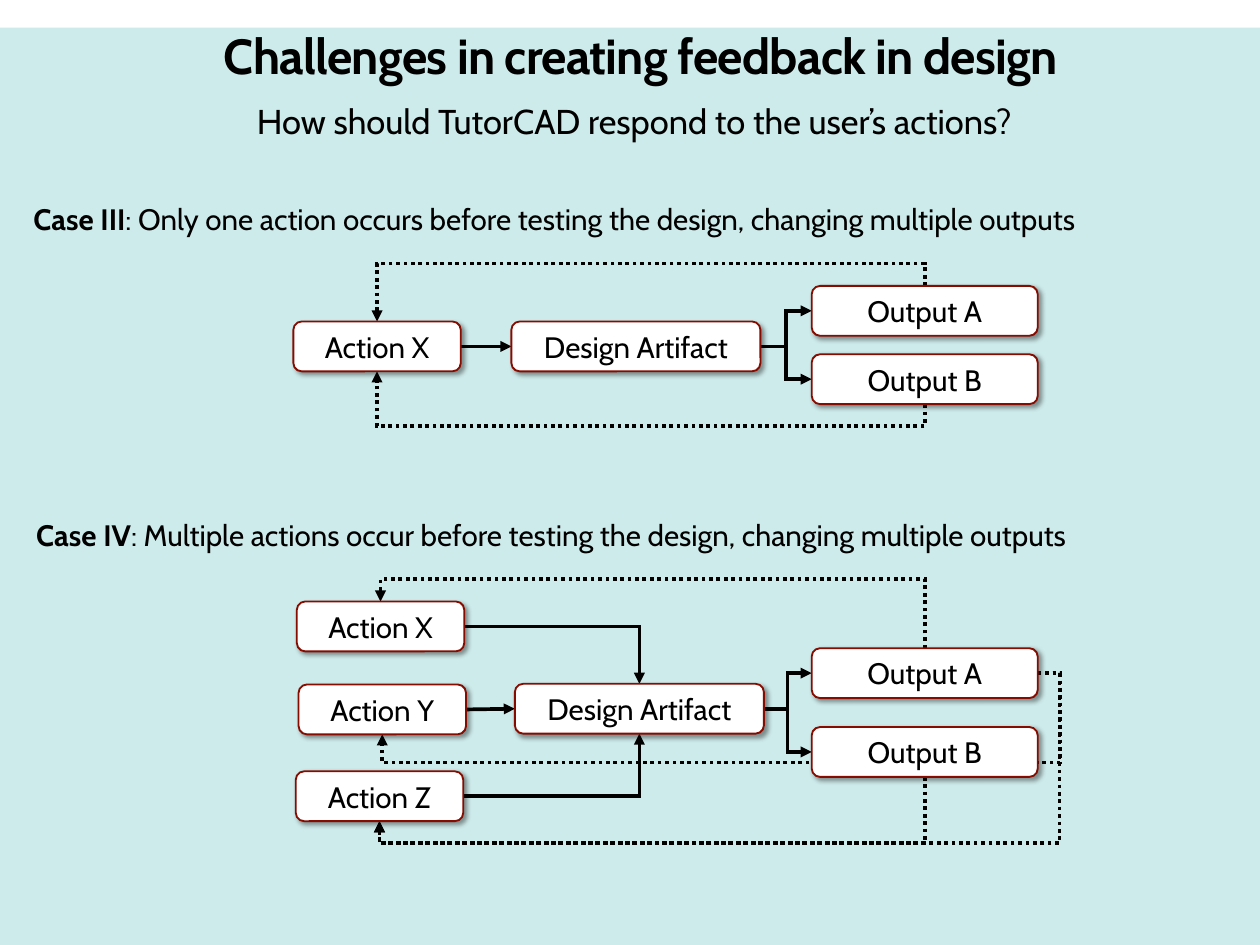
import pptx
import pptx.util
import pptx.dml.color
import pptx.enum.shapes
import pptx.enum.text
import pptx.oxml.ns
import lxml.etree

Cm, Pt = pptx.util.Cm, pptx.util.Pt
qn = pptx.oxml.ns.qn

# Content: lengths in centimetres
FONT = "Cabin"
BLACK, WHITE, RED, TEAL = "000000", "FFFFFF", "870C00", "CEEBEB"
WIDTH, HEIGHT = 36.12, 27.1
BAND_TOP = 0.79
BOX_HEIGHT = 1.43
ACTION, ARTIFACT, OUTPUT = 4.8, 7.14, 6.48  # box widths

# Text: left, top, width, height, size, centred, (wording, bold) runs
TITLE = (3.28, 0.23, 30.18, 2.9, 40, True,
         [("Challenges in creating feedback in design", True)])
TEXTS = [
    (2.34, 2.74, 31.67, 1.45, 28, True,
     [("How should TutorCAD respond to the user’s actions?", False)]),
    (0.71, 5.64, 35.08, 1.27, 24, False,
     [("Case III", True),
      (": Only one action occurs before testing the design, changing multiple outputs", False)]),
    (0.79, 14.71, 34.98, 1.27, 24, False,
     [("Case IV", True),
      (": Multiple actions occur before testing the design, changing multiple outputs", False)]),
]

# Boxes: label -> left, top, width
# Routes: start, side, end, side, lanes followed between them, dotted
CASES = [
    ({"Action X": (8.41, 9.22, ACTION),
      "Design Artifact": (14.66, 9.22, ARTIFACT),
      "Output A": (23.27, 8.2, OUTPUT),
      "Output B": (23.27, 10.16, OUTPUT)},
     [("Action X", "right", "Design Artifact", "left", [], False),
      ("Design Artifact", "right", "Output A", "left", [22.53], False),
      ("Design Artifact", "right", "Output B", "left", [22.53], False),
      ("Output A", "top", "Action X", "top", [7.56], True),
      ("Output B", "bottom", "Action X", "bottom", [12.22], True)]),
    ({"Action X": (8.51, 17.25, ACTION),
      "Action Y": (8.56, 19.63, ACTION),
      "Action Z": (8.48, 22.12, ACTION),
      "Design Artifact": (14.76, 19.61, ARTIFACT),
      "Output A": (23.27, 18.59, OUTPUT),
      "Output B": (23.27, 20.85, OUTPUT)},
     [("Action X", "right", "Design Artifact", "top", [], False),
      ("Action Y", "right", "Design Artifact", "left", [], False),
      ("Action Z", "right", "Design Artifact", "bottom", [], False),
      ("Design Artifact", "right", "Output A", "left", [22.58], False),
      ("Design Artifact", "right", "Output B", "left", [22.58], False),
      ("Output A", "top", "Action X", "top", [16.61], True),
      ("Output A", "right", "Action Y", "bottom", [30.38, 21.87], True),
      ("Output A", "right", "Action Z", "bottom", [30.38, 24.18], True),
      ("Output B", "bottom", "Action Z", "bottom", [24.18], True)]),
]
SIDES = {"left": (0, 0.5), "right": (1, 0.5), "top": (0.5, 0), "bottom": (0.5, 1)}


def colour(value):
    return pptx.dml.color.RGBColor.from_string(value)


def element(parent, tag, **attributes):
    return lxml.etree.SubElement(parent, qn(tag), **attributes)


def write(paragraph, runs, size, centred):
    for wording, bold in runs:
        run = paragraph.add_run()
        run.text = wording
        if len(runs) > 1:
            run.font.bold = bold
    if len(runs) == 1:
        paragraph.font.bold = runs[0][1]
    paragraph.font.name = FONT
    paragraph.font.size = Pt(size)
    paragraph.font.color.rgb = colour(BLACK)
    if centred:
        paragraph.alignment = pptx.enum.text.PP_ALIGN.CENTER


def add_text(slide, left, top, width, height, size, centred, runs):
    shape = slide.shapes.add_textbox(Cm(left), Cm(top), Cm(width), Cm(height))
    shape.text_frame.word_wrap = True
    write(shape.text_frame.paragraphs[0], runs, size, centred)
    return shape


def add_box(slide, label, left, top, width):
    shape = slide.shapes.add_shape(
        pptx.enum.shapes.MSO_SHAPE.FLOWCHART_ALTERNATE_PROCESS,
        Cm(left), Cm(top), Cm(width), Cm(BOX_HEIGHT))
    shape.fill.solid()
    shape.fill.fore_color.rgb = colour(WHITE)
    shape.line.color.rgb = colour(RED)
    shape.line.width = Pt(1.5)
    shape.shadow.inherit = False
    effects = shape._element.spPr.find(qn("a:effectLst"))
    shadow = element(effects, "a:outerShdw", blurRad=str(Pt(4)), dist=str(Pt(3)),
                     dir="2700000", algn="tl", rotWithShape="0")
    element(element(shadow, "a:srgbClr", val=BLACK), "a:alpha", val="40000")
    shape.text_frame.word_wrap = True
    shape.text_frame.vertical_anchor = pptx.enum.text.MSO_ANCHOR.MIDDLE
    write(shape.text_frame.paragraphs[0], [(label, False)], 24, True)


def anchor(box, side):
    left, top, width = box
    across, down = SIDES[side]
    return left + across * width, top + down * BOX_HEIGHT


def add_route(slide, boxes, start, start_side, end, end_side, lanes, dotted):
    begin, finish = anchor(boxes[start], start_side), anchor(boxes[end], end_side)
    delta = [b - a for a, b in zip(begin, finish)]
    vertical = start_side in ("top", "bottom")
    turned = vertical != (end_side in ("top", "bottom"))

    # A route that leaves vertically is a horizontal one turned by 90 degrees
    u, v = (delta[1], -delta[0]) if vertical else delta
    x, y = [(a + b) / 2 for a, b in zip(begin, finish)]
    straight = not lanes and not turned
    kinds = pptx.enum.shapes.MSO_CONNECTOR
    connector = slide.shapes.add_connector(
        kinds.STRAIGHT if straight else kinds.ELBOW,
        Cm(x - u / 2), Cm(y - v / 2), Cm(x + u / 2), Cm(y + v / 2))
    properties = connector._element.spPr
    if vertical:
        properties.find(qn("a:xfrm")).set("rot", "5400000")

    # Bends: each lane is a share of the distance along its axis
    if not straight:
        geometry = properties.find(qn("a:prstGeom"))
        bends = 2 * len(lanes) if turned and lanes else len(lanes) + 1
        bends = {1: 2, 2: 3, 4: 4}[bends]
        geometry.set("prst", f"bentConnector{bends}")
        adjustments = geometry.find(qn("a:avLst"))
        for index, lane in enumerate(lanes):
            axis = (index + vertical) % 2
            share = round((lane - begin[axis]) / delta[axis] * 100000)
            element(adjustments, "a:gd", name=f"adj{index + 1}" if bends > 2 else "adj",
                    fmla=f"val {share}")

    connector.line.color.rgb = colour(BLACK)
    connector.line.width = Pt(3)
    if dotted:
        connector.line.dash_style = pptx.enum.dml.MSO_LINE.ROUND_DOT
    line = properties.find(qn("a:ln"))
    element(line, "a:miter", lim="800000")
    element(line, "a:tailEnd", type="triangle")
    element(properties, "a:effectLst")


def main():
    presentation = pptx.Presentation()
    presentation.slide_width, presentation.slide_height = Cm(WIDTH), Cm(HEIGHT)
    slide = presentation.slides.add_slide(presentation.slide_layouts[6])

    # Background band
    band = slide.shapes.add_shape(pptx.enum.shapes.MSO_SHAPE.RECTANGLE, 0, Cm(BAND_TOP),
                                  Cm(WIDTH), Cm(HEIGHT - BAND_TOP))
    band.fill.solid()
    band.fill.fore_color.rgb = colour(TEAL)
    band.line.fill.background()
    band.shadow.inherit = False

    # Title and captions
    title = add_text(slide, *TITLE)
    title.text_frame.vertical_anchor = pptx.enum.text.MSO_ANCHOR.MIDDLE
    title_paragraph = title.text_frame.paragraphs[0]
    title_paragraph.line_spacing = 0.9
    title_paragraph.runs[0].font._element.set("spc", "-60")
    for text in TEXTS:
        add_text(slide, *text)

    # Diagrams: routes lie behind the boxes
    for boxes, routes in CASES:
        for route in routes:
            add_route(slide, boxes, *route)
        for label, place in boxes.items():
            add_box(slide, label, *place)

    presentation.save("out.pptx")


if __name__ == "__main__":
    main()
